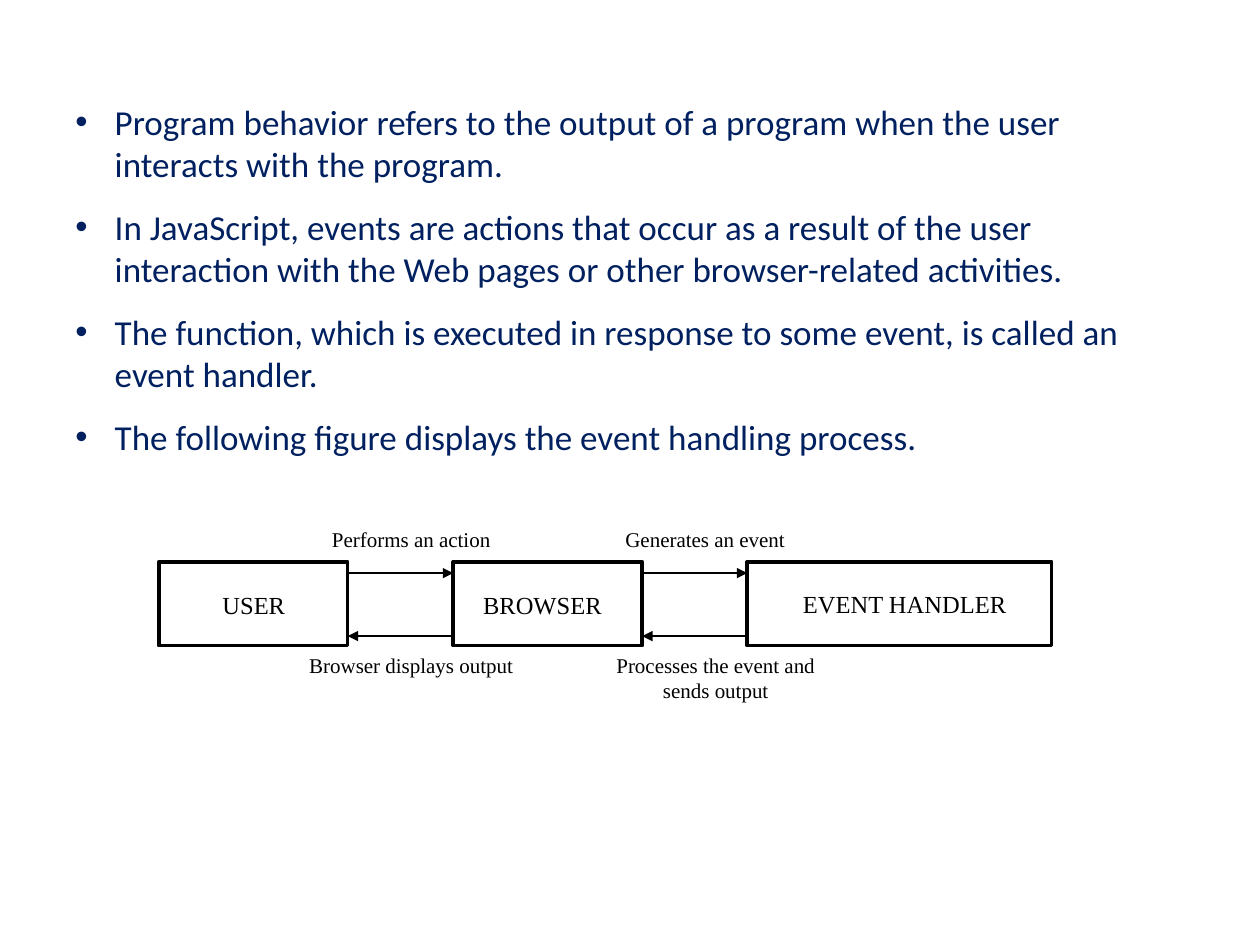
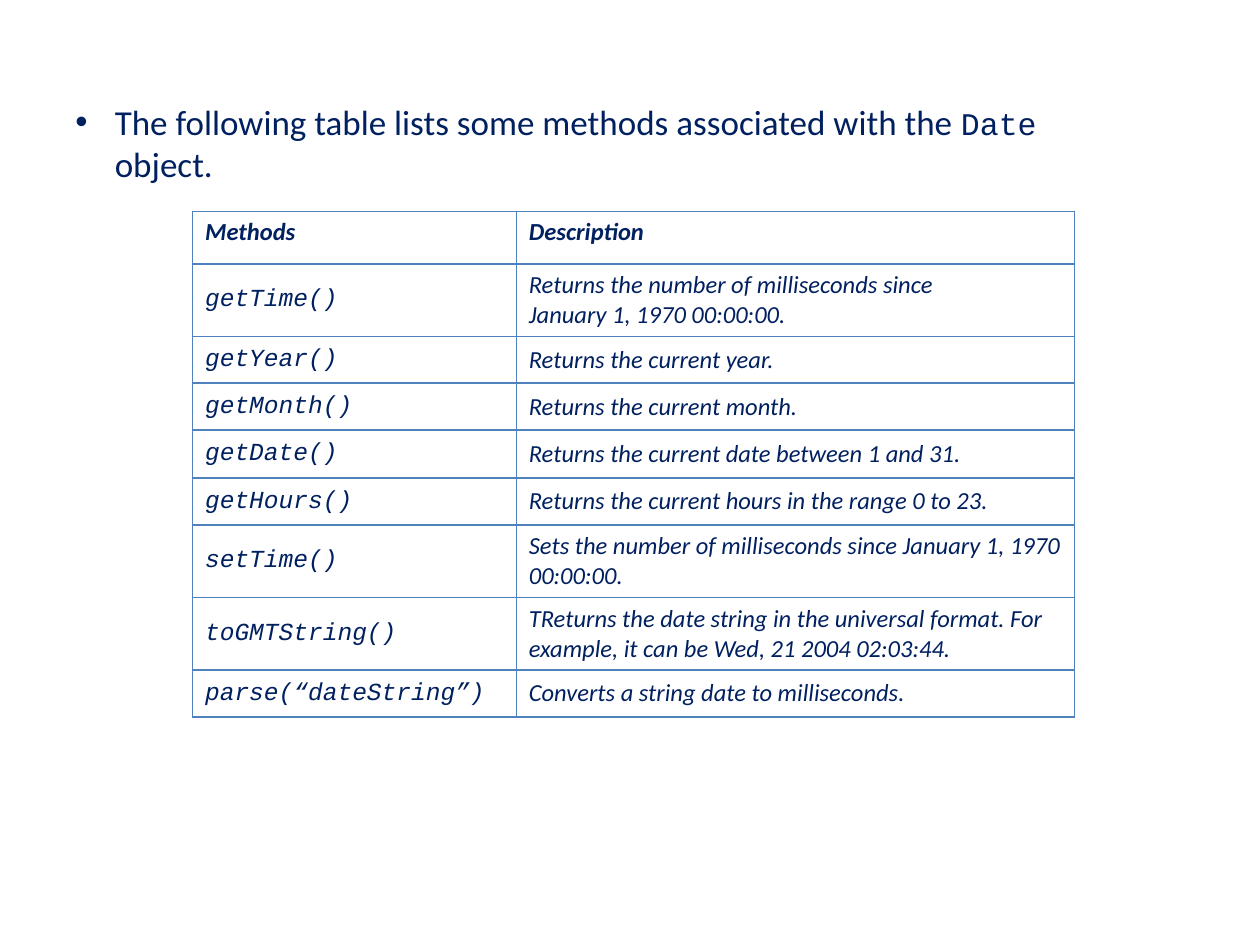
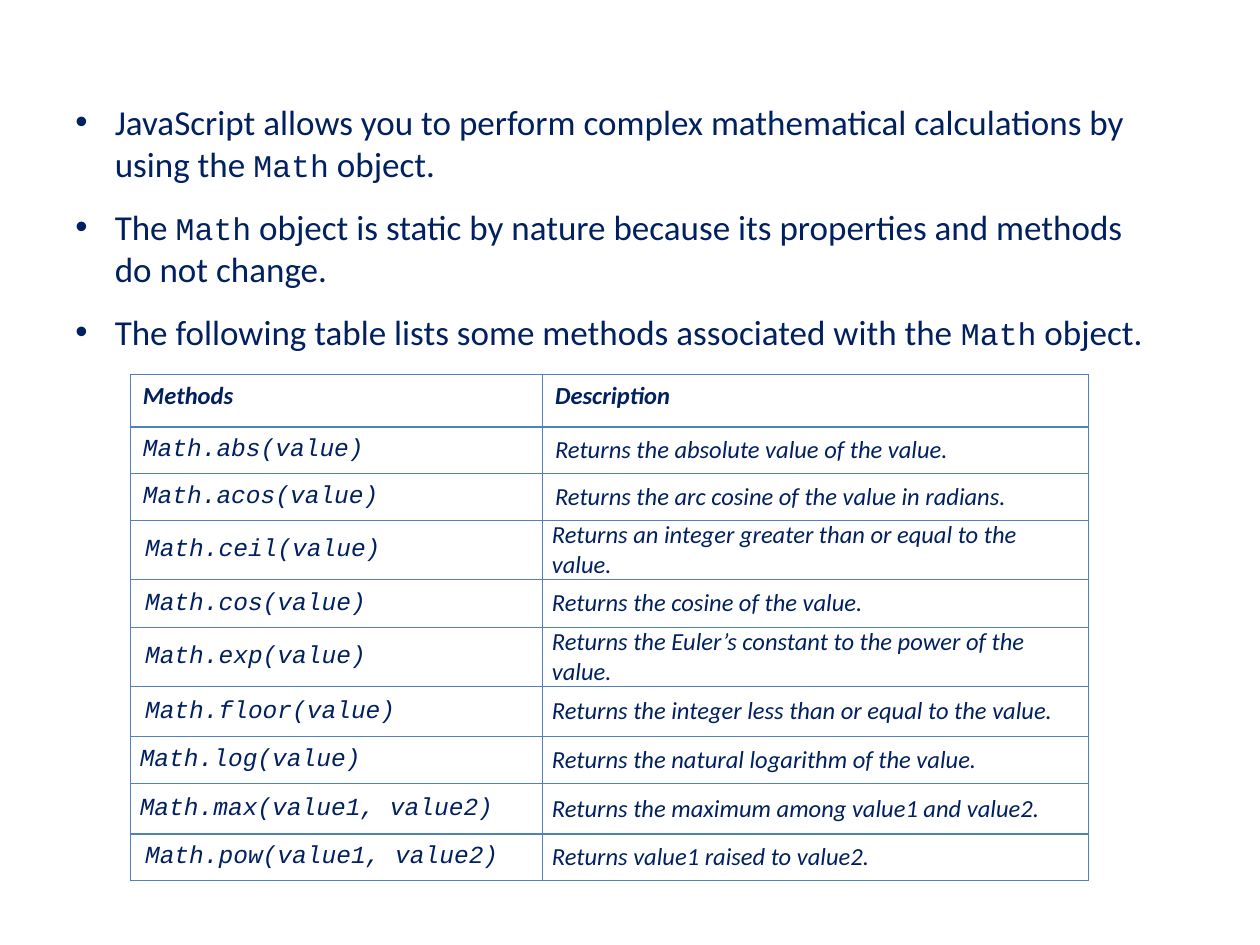
from lxml.etree import SubElement
from pptx import Presentation
from pptx.dml.color import RGBColor
from pptx.enum.shapes import MSO_CONNECTOR as Connector, MSO_SHAPE as Shape
from pptx.enum.text import MSO_ANCHOR as Anchor, MSO_AUTO_SIZE as AutoSize, PP_ALIGN as Align
from pptx.oxml.ns import qn
from pptx.util import Pt

NAVY = RGBColor(0x00, 0x20, 0x60)
BLACK = RGBColor(0x00, 0x00, 0x00)
BORDER = RGBColor(0x4F, 0x81, 0xBD)
BODY_FONT, CODE_FONT, DIAGRAM_FONT = "Calibri", "Courier New", "Times New Roman"


def add_run(paragraph, text, color, **formats):
    run = paragraph.add_run()
    run.text = text
    run.font.color.rgb = color
    for name, value in formats.items():
        setattr(run.font, name, value)


def add_text_box(slide, left, top, width, height):
    frame = slide.shapes.add_textbox(Pt(left), Pt(top), Pt(width), Pt(height)).text_frame
    frame.word_wrap = True
    frame.auto_size = AutoSize.SHAPE_TO_FIT_TEXT
    return frame


# Slide contents: text between backticks is set as code
bullet_boxes = [
    (620, 213, [
        "Program behavior refers to the output of a program when the user interacts with the program.",
        "In JavaScript, events are actions that occur as a result of the user interaction with the Web pages "
        "or other browser-related activities.",
        "The function, which is executed in response to some event, is called an event handler.",
        "The following figure displays the event handling process.",
    ]),
    (602.5, 55.5, ["The following table lists some methods associated with the `Date` object."]),
    (635, 262, [
        "JavaScript allows you to perform complex mathematical calculations by using the `Math` object.",
        "The `Math` object is static by nature because its properties and methods do not change.",
        "The following table lists some methods associated with the `Math` object.",
    ]),
]

# Cell layouts: side margin, top margin, and format of the method's paragraph
ROOMY = (7.2, 3.6, {})
TIGHT = (5.4, 0, {})
TIGHT_INDENTED = (5.4, 0, {"space_before": Pt(6), "space_after": Pt(4)})

date_rows = [
    ("Methods", "Description", 30, ROOMY),
    ("getTime()", "Returns the number of milliseconds since\nJanuary 1, 1970 00:00:00.", 41.5, ROOMY),
    ("getYear()", "Returns the current year.", 26.75, ROOMY),
    ("getMonth()", "Returns the current month.", 26.75, ROOMY),
    ("getDate()", "Returns the current date between 1 and 31.", 27.5, ROOMY),
    ("getHours()", "Returns the current hours in the range 0 to 23.", 26.75, ROOMY),
    ("setTime()", "Sets the number of milliseconds since January 1, 1970 00:00:00.", 41.5, ROOMY),
    ("toGMTString()", "TReturns the date string in the universal format. For example, it can be "
     "Wed, 21 2004 02:03:44.", 41.5, ROOMY),
    ("parse(“dateString”)", "Converts a string date to milliseconds.", 26.75, ROOMY),
]
math_rows = [
    ("Methods", "Description", 30, ROOMY),
    ("Math.abs(value)", "Returns the absolute value of the value.", 26.75, ROOMY),
    ("Math.acos(value)", "Returns the arc cosine of the value in radians.", 26.75, ROOMY),
    ("Math.ceil(value)", "Returns an integer greater than or equal to the value.", 33.5, TIGHT_INDENTED),
    ("Math.cos(value)", "Returns the cosine of the value.", 27.5, TIGHT_INDENTED),
    ("Math.exp(value)", "Returns the Euler’s constant to the power of the value.", 33.5, TIGHT_INDENTED),
    ("Math.floor(value)", "Returns the integer less than or equal to the value.", 28.75, TIGHT_INDENTED),
    ("Math.log(value)", "Returns the natural logarithm of the value.", 26.75, TIGHT),
    ("Math.max(value1, value2)", "Returns the maximum among value1 and value2.", 28.75, TIGHT),
    ("Math.pow(value1, value2)", "Returns value1 raised to value2.", 26.75, TIGHT_INDENTED),
]

presentation = Presentation()
presentation.slide_width, presentation.slide_height = Pt(720), Pt(540)
blank_layout = presentation.slide_layouts[6]

# Bullets on every slide
slides = []
for width, height, bullets in bullet_boxes:
    slide = presentation.slides.add_slide(blank_layout)
    slides.append(slide)
    frame = add_text_box(slide, 36, 54, width, height)
    for index, bullet in enumerate(bullets):
        paragraph = frame.add_paragraph() if index else frame.paragraphs[0]
        for name, value in {"level": 1, "space_before": Pt(6), "space_after": Pt(6)}.items():
            setattr(paragraph, name, value)
        for part, text in enumerate(bullet.split("`")):
            is_code = part % 2 == 1
            add_run(paragraph, text, NAVY, size=Pt(18 if is_code else 20),
                    name=CODE_FONT if is_code else BODY_FONT)
        properties = paragraph._p.get_or_add_pPr()
        properties.set("marL", str(Pt(22.5)))
        properties.set("indent", str(-Pt(22.5)))
        SubElement(properties, qn("a:buFont")).set("typeface", "Arial")
        SubElement(properties, qn("a:buChar")).set("char", "•")

# Event handling diagram: boxes
diagram_slide = slides[0]
for left, width in [(90.75, 108), (259, 108), (427, 174)]:
    box = diagram_slide.shapes.add_shape(Shape.RECTANGLE, Pt(left), Pt(321), Pt(width), Pt(48))
    box.shadow.inherit = False
    box.fill.background()
    box.line.color.rgb = BLACK
    box.line.width = Pt(2)

# Event handling diagram: an arrow out and an arrow back in each gap
for left, right in [(198.75, 259), (367, 427)]:
    for start, end, y in [(left, right, 327.5), (right, left, 363.5)]:
        arrow = diagram_slide.shapes.add_connector(Connector.STRAIGHT, Pt(start), Pt(y), Pt(end), Pt(y))
        arrow.line.color.rgb = BLACK
        arrow.line.width = Pt(0.75)
        SubElement(arrow.line._get_or_add_ln(), qn("a:tailEnd")).set("type", "triangle")
        SubElement(arrow._element.spPr, qn("a:effectLst"))

# Event handling diagram: box names and arrow labels
for text, left, top, width, height, size in [
    ("USER", 103, 333.5, 84, 24.5, 14),
    ("BROWSER", 259, 333.5, 102, 24.5, 14),
    ("EVENT HANDLER", 445, 333, 144, 24.5, 14),
    ("Performs an action", 157, 297.5, 156, 21.5, 12),
    ("Browser displays output", 157, 369.5, 156, 21.5, 12),
    ("Generates an event", 325, 297.5, 156, 21.5, 12),
    ("Processes the event and sends output", 331, 369.5, 156, 36.5, 12),
]:
    paragraph = add_text_box(diagram_slide, left, top, width, height).paragraphs[0]
    paragraph.alignment = Align.CENTER
    add_run(paragraph, text, BLACK, size=Pt(size), name=DIAGRAM_FONT)

# Method tables
for slide, left, top, column_widths, rows in [
    (slides[1], 110, 120.75, (185, 319), date_rows),
    (slides[2], 74.5, 214, (235.5, 312), math_rows),
]:
    table = slide.shapes.add_table(len(rows), 2, Pt(left), Pt(top), Pt(sum(column_widths)),
                                   Pt(sum(row[2] for row in rows))).table
    table.first_row = table.horz_banding = False
    for column, width in zip(table.columns, column_widths):
        column.width = Pt(width)
    for row_index, (method, description, height, layout) in enumerate(rows):
        table.rows[row_index].height = Pt(height)
        side, edge, method_format = layout
        is_header = row_index == 0
        for column_index, text in enumerate((method, description)):
            cell = table.cell(row_index, column_index)
            is_method = column_index == 0 and not is_header
            for name, value in {
                "margin_left": Pt(side), "margin_right": Pt(side),
                "margin_top": Pt(edge), "margin_bottom": Pt(edge),
                "vertical_anchor": Anchor.TOP if is_header else Anchor.MIDDLE,
            }.items():
                setattr(cell, name, value)

            # Cell text
            for line_index, line in enumerate(text.split("\n")):
                frame = cell.text_frame
                paragraph = frame.add_paragraph() if line_index else frame.paragraphs[0]
                add_run(paragraph, line, NAVY, size=Pt(14), name=CODE_FONT if is_method else BODY_FONT,
                        bold=is_header, italic=True)
                if is_method and method_format:
                    for name, value in method_format.items():
                        setattr(paragraph, name, value)
                    paragraph._p.get_or_add_pPr().set("marL", str(Pt(3)))

            # Cell borders come before the fill
            properties = cell._tc.get_or_add_tcPr()
            for side_tag in ("a:lnL", "a:lnR", "a:lnT", "a:lnB"):
                border = SubElement(properties, qn(side_tag), w=str(Pt(1)))
                fill = SubElement(border, qn("a:solidFill"))
                SubElement(fill, qn("a:srgbClr")).set("val", str(BORDER))
            cell.fill.background()

presentation.save("out.pptx")
